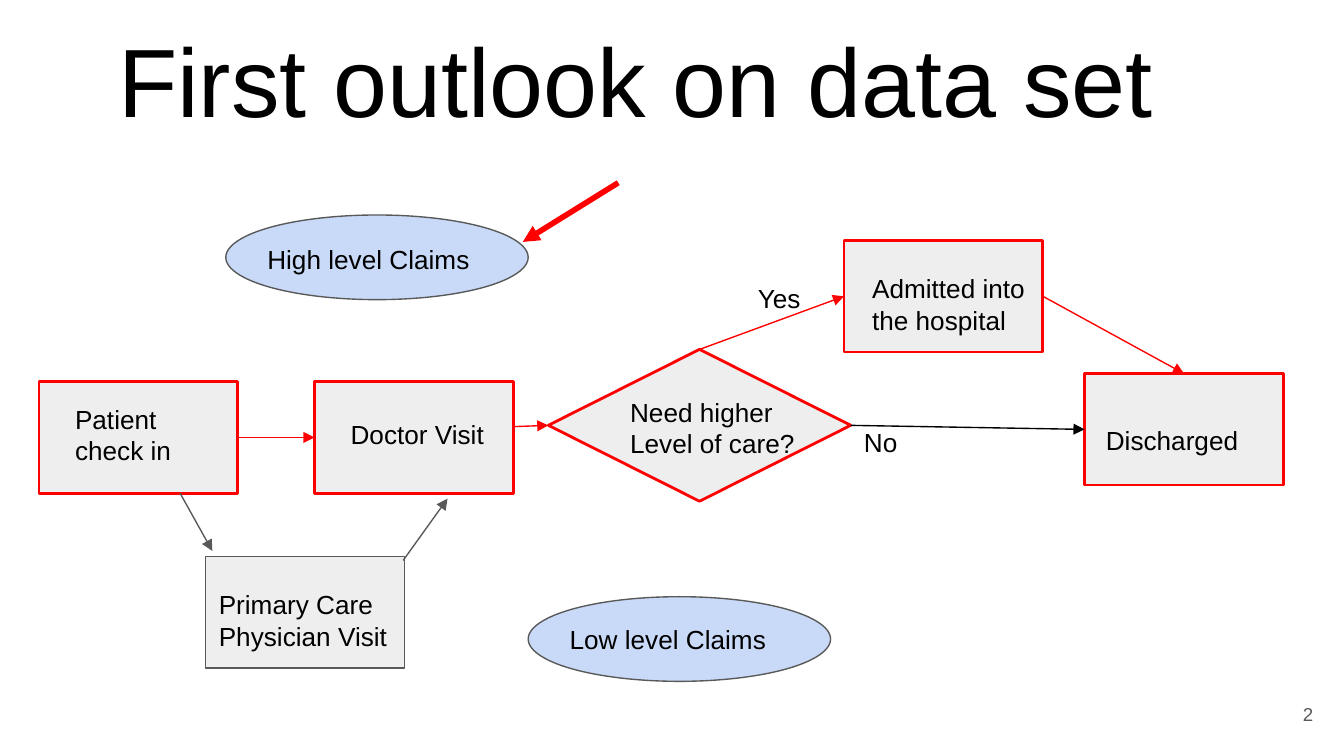
from dataclasses import dataclass
from typing import Optional

import lxml.etree
import pptx
import pptx.dml.color
import pptx.enum.shapes
import pptx.enum.text
import pptx.oxml.ns
import pptx.util

Inches = pptx.util.Inches
Pt = pptx.util.Pt
Align = pptx.enum.text.PP_ALIGN
Anchor = pptx.enum.text.MSO_ANCHOR
Preset = pptx.enum.shapes.MSO_SHAPE

RED, GREY, BLACK = "FF0000", "595959", "000000"
PALE_GREY, PALE_BLUE = "EEEEEE", "C9DAF8"
TOP, LEFT, RIGHT = 0, 1, 3
BOX_SIZE = (1.48, 0.83)
OVAL_SIZE = (2.25, 0.63)


@dataclass(frozen=True)
class Node:
    name: str
    left: float
    top: float
    size: tuple = BOX_SIZE
    preset: int = Preset.RECTANGLE
    fill: str = PALE_GREY
    line: str = RED
    weight: float = 1.5


@dataclass(frozen=True)
class Arrow:
    start: tuple
    end: tuple
    color: str = RED
    weight: float = 0.75
    source: Optional[tuple] = None
    target: Optional[tuple] = None
    behind: bool = False


@dataclass(frozen=True)
class Label:
    text: str
    left: float
    top: float
    width: float
    height: float


NODES = [
    Node("low claims", 3.93, 4.44, OVAL_SIZE, Preset.OVAL, PALE_BLUE, GREY, 0.75),
    Node("high claims", 1.68, 1.6, OVAL_SIZE, Preset.OVAL, PALE_BLUE, GREY, 0.75),
    Node("decision", 4.08, 2.6, (2.25, 1.13), Preset.FLOWCHART_DECISION),
    Node("check in", 0.29, 2.84),
    Node("doctor", 2.34, 2.84),
    Node("admitted", 6.28, 1.79),
    Node("discharged", 8.07, 2.78),
    Node("primary care", 1.53, 4.14, line=GREY, weight=0.75),
]

ARROWS = [
    Arrow((3.41, 3.19), (4.08, 3.17), target=("decision", LEFT), behind=True),
    Arrow((1.77, 3.25), (2.34, 3.26), source=("check in", RIGHT), target=("doctor", LEFT)),
    Arrow((5.21, 2.6), (6.28, 2.21), source=("decision", TOP), target=("admitted", LEFT)),
    Arrow((6.33, 3.17), (8.07, 3.2), BLACK, source=("decision", RIGHT), target=("discharged", LEFT)),
    Arrow((7.76, 2.21), (8.81, 2.78), source=("admitted", RIGHT), target=("discharged", TOP)),
    Arrow((1.34, 3.67), (1.58, 4.1), GREY),
    Arrow((3, 4.17), (3.33, 3.71), GREY),
    Arrow((4.6, 1.36), (3.89, 1.8), weight=3),
]

LABELS = [
    Label("Patient check in", 0.46, 2.9, 1.22, 0.71),
    Label("Doctor Visit", 2.51, 3.01, 1.31, 0.55),
    Label("Primary Care Physician Visit", 1.53, 4.28, 1.86, 0.55),
    Label("Need higher\nLevel of care?", 4.59, 2.85, 1.96, 0.96),
    Label("Yes", 5.54, 2.04, 0.74, 0.12),
    Label("No", 6.33, 3.11, 0.52, 0.12),
    Label("Admitted into the hospital", 6.39, 1.93, 1.48, 0.46),
    Label("Discharged", 8.13, 3.06, 1.36, 0.49),
    Label("High level Claims", 1.89, 1.71, 2.18, 0.49),
    Label("Low level Claims", 4.14, 4.54, 1.96, 0.43),
]


def rgb(color: str) -> pptx.dml.color.RGBColor:
    return pptx.dml.color.RGBColor.from_string(color)


def write_text(box, text: str, *, size: float = 14, color: str = BLACK,
               align=Align.LEFT, anchor=Anchor.TOP) -> None:
    frame = box.text_frame
    frame.word_wrap = True
    frame.auto_size = pptx.enum.text.MSO_AUTO_SIZE.NONE
    frame.vertical_anchor = anchor
    frame.margin_left = frame.margin_right = Inches(0.1)
    frame.margin_top = frame.margin_bottom = Inches(0.1)
    frame.text = text
    for para in frame.paragraphs:
        para.alignment = align
        para.line_spacing = 1.0
        para.space_before = Pt(0)
        for span in para.runs:
            span.font.name = "Arial"
            span.font.size = Pt(size)
            span.font.color.rgb = rgb(color)


def draw_node(page, node: Node):
    shape = page.shapes.add_shape(node.preset, Inches(node.left), Inches(node.top),
                                  *map(Inches, node.size))
    shape.shadow.inherit = False
    shape.fill.solid()
    shape.fill.fore_color.rgb = rgb(node.fill)
    shape.line.color.rgb = rgb(node.line)
    shape.line.width = Pt(node.weight)
    return shape


def draw_arrow(page, arrow: Arrow, shapes: dict) -> None:
    connector = page.shapes.add_connector(pptx.enum.shapes.MSO_CONNECTOR.STRAIGHT,
                                          *map(Inches, arrow.start + arrow.end))
    connector.line.color.rgb = rgb(arrow.color)
    connector.line.width = Pt(arrow.weight)
    qualify = pptx.oxml.ns.qn
    outline = connector.line._get_or_add_ln()
    lxml.etree.SubElement(outline, qualify("a:tailEnd"), type="triangle")
    lxml.etree.SubElement(connector._element.spPr, qualify("a:effectLst"))
    if arrow.source:
        name, site = arrow.source
        connector.begin_connect(shapes[name], site)
    if arrow.target:
        name, site = arrow.target
        connector.end_connect(shapes[name], site)
    if arrow.behind:
        page.shapes._spTree.insert(2, connector._element)


def draw_label(page, label: Label, **style) -> None:
    box = page.shapes.add_textbox(*map(Inches, (label.left, label.top, label.width, label.height)))
    write_text(box, label.text, **style)


def main() -> None:
    deck = pptx.Presentation()
    deck.slide_width = Inches(10)
    deck.slide_height = deck.slide_width * 9 // 16
    page = deck.slides.add_slide(deck.slide_layouts[5])

    title = page.shapes.title
    title.left, title.top, title.width, title.height = map(Inches, (0.17, 0.17, 9.32, 0.83))
    write_text(title, "First outlook on data set ", size=52, align=Align.CENTER,
               anchor=Anchor.MIDDLE)

    shapes = {node.name: draw_node(page, node) for node in NODES}
    for arrow in ARROWS:
        draw_arrow(page, arrow, shapes)
    for label in LABELS:
        draw_label(page, label)
    draw_label(page, Label("2", 9.27, 5.1, 0.6, 0.43), size=10, color=GREY,
               align=Align.RIGHT, anchor=Anchor.MIDDLE)

    deck.save("out.pptx")


if __name__ == "__main__":
    main()
